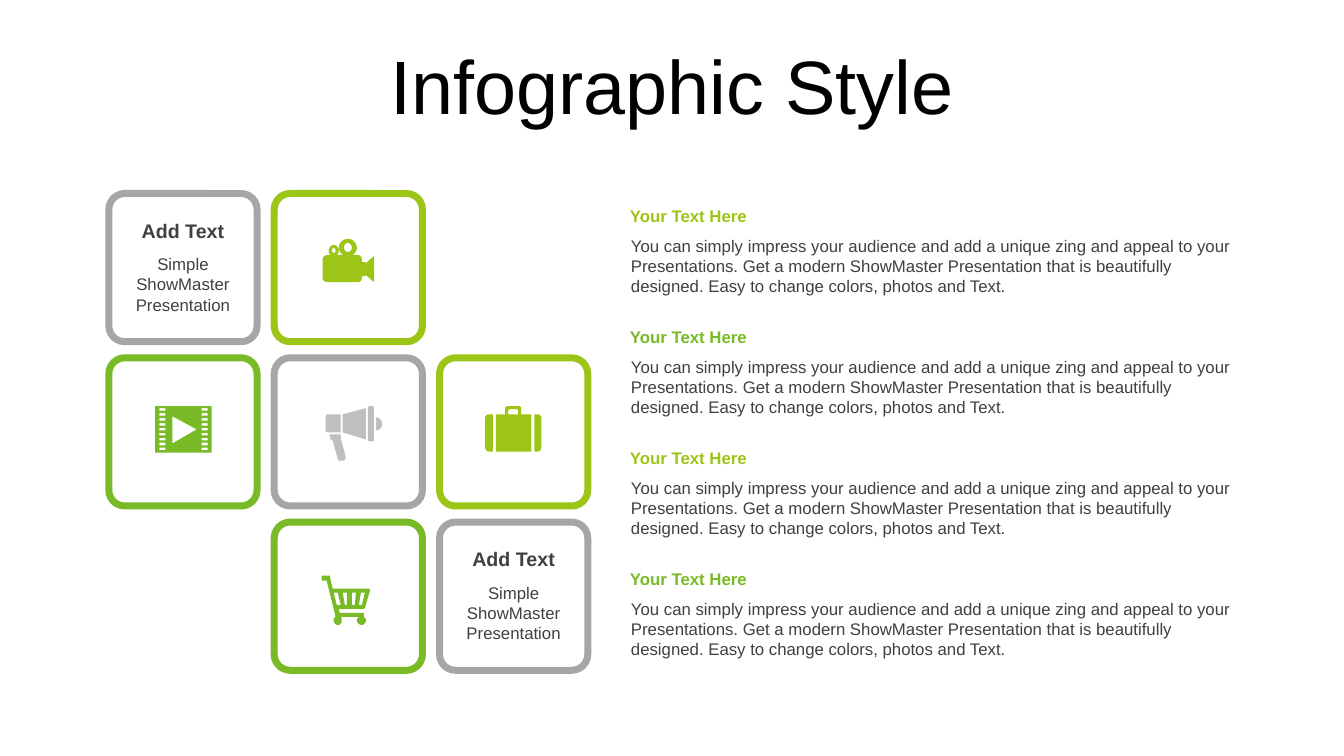
from dataclasses import dataclass

from pptx import Presentation
from pptx.dml.color import RGBColor
from pptx.enum.shapes import MSO_SHAPE as Shape
from pptx.enum.text import MSO_ANCHOR as Anchor, PP_ALIGN as Align
from pptx.util import Inches, Pt

WHITE = RGBColor(0xFF, 0xFF, 0xFF)
BLACK = RGBColor(0, 0, 0)
DARK = RGBColor(0x40, 0x40, 0x40)
GRAY = RGBColor(0xA6, 0xA6, 0xA6)
SILVER = RGBColor(0xBF, 0xBF, 0xBF)
LIME = RGBColor(0x9D, 0xC5, 0x18)
GREEN = RGBColor(0x79, 0xBA, 0x27)

WIDTH, HEIGHT = 13.33, 7.5
# Tile grid: first corner, step between tiles, tile side
LEFT, TOP = 1.08, 1.92
STEP_X, STEP_Y = 1.64, 1.63
SIDE = 1.47
# Text rows on the right
TEXT_X, TEXT_Y, TEXT_W, TEXT_STEP = 6.15, 1.99, 6.24, 1.2

HEAD = dict(size=Pt(54), color=BLACK)
LABEL = dict(size=Pt(14), color=DARK, bold=True)
BODY = dict(size=Pt(12), color=DARK)
NOTE = ("You can simply impress your audience and add a unique zing and appeal "
        "to your Presentations. Get a modern ShowMaster Presentation that is "
        "beautifully designed. Easy to change colors, photos and Text.")

# Icon outlines in hundredths of an inch; C starts a Bezier curve
CAMERA = (
    "11 9 C 10 9 9 10 9 12 C 9 13 10 14 11 14 C 12 14 13 13 13 12 C 13 10 12 9 11 9",
    "25 4 C 23 4 21 6 21 9 C 21 11 23 13 25 13 C 27 13 29 11 29 9 C 29 6 27 4 25 4",
    "25 0 C 30 0 34 4 34 9 C 34 12 32 15 29 16 35 16 C 37 16 39 18 39 21 39 23 42 23 "
    "43 24 51 17 51 43 43 36 42 37 39 37 39 39 C 39 41 37 43 35 43 5 43 "
    "C 2 43 0 41 0 39 0 21 C 0 18 2 16 5 16 9 16 C 7 16 6 14 6 12 C 6 9 8 6 11 6 "
    "C 14 6 16 9 16 12 C 16 14 15 16 13 16 21 16 C 18 15 16 12 16 9 C 16 4 20 0 25 0",
)
HOLES = tuple(
    f"{x} {y:.1f} {x + 6} {y:.1f} {x + 6} {y + 2.5:.1f} {x} {y + 2.5:.1f}"
    for x in (4, 46) for y in (2 + 4.9 * row for row in range(9)))
FILM = HOLES + ("17 10 17 37 41 23", "0 0 56 0 56 46 0 46")
HORN = (
    "15 28 15 30 C 16 31 15 32 15 32 20 50 C 20 52 19 53 18 54 15 54 "
    "C 14 55 13 54 12 52 7 34 C 6 34 6 34 5 33 4 28",
    "50 11 C 54 11 56 14 56 18 C 56 21 54 24 50 24",
    "2 8 15 8 15 26 2 26 C 1 26 0 25 0 24 0 11 C 0 9 1 8 2 8",
    "40 2 40 33 17 26 17 8",
    "43 0 47 0 48 1 48 33 C 48 34 48 35 47 35 43 35 C 43 35 42 34 42 33 42 1",
)
CASE = (
    "49 8 52 8 C 55 8 56 10 56 12 56 40 C 56 43 55 45 52 45 49 45",
    "4 8 8 8 8 45 4 45 C 2 45 0 43 0 40 0 12 C 0 10 2 8 4 8",
    "25 3 C 24 3 23 4 23 5 23 8 33 8 33 5 C 33 4 32 3 32 3",
    "23 0 34 0 C 35 0 36 1 36 2 36 8 46 8 46 45 11 45 11 8 20 8 20 2 C 20 1 21 0 23 0",
)
CART = (
    "39 17 37 29 40 29 43 17",
    "30 17 30 29 33 29 34 17",
    "21 17 23 29 25 29 25 17",
    "12 17 15 29 19 29 16 17",
    "8 0 11 13 46 13 C 47 13 49 14 48 15 43 32 42 33 17 33 18 37 42 37 42 41 41 41 "
    "C 43 41 44 43 44 44 C 44 47 42 49 40 49 C 37 49 35 47 35 44 C 35 43 36 41 38 41 "
    "19 41 C 20 42 20 43 20 44 C 20 47 19 49 16 49 C 14 49 12 47 12 44 "
    "C 12 43 13 41 14 41 5 5 0 5 0 0",
)


@dataclass(frozen=True)
class Icon:
    paths: tuple[str, ...]
    color: RGBColor
    dx: float
    dy: float


@dataclass(frozen=True)
class Tile:
    col: int
    row: int
    color: RGBColor
    icon: Icon | None = None


TILES = (
    Tile(0, 0, GRAY),
    Tile(1, 0, LIME, Icon(CAMERA, LIME, 0.48, 0.45)),
    Tile(0, 1, GREEN, Icon(FILM, GREEN, 0.46, 0.48)),
    Tile(1, 1, GRAY, Icon(HORN, SILVER, 0.51, 0.48)),
    Tile(2, 1, LIME, Icon(CASE, LIME, 0.45, 0.48)),
    Tile(1, 2, GREEN, Icon(CART, GREEN, 0.47, 0.53)),
    Tile(2, 2, GRAY),
)


def trace(path: str) -> list[tuple[int, int]]:
    """Turn an outline into points in EMU, with curves cut into short lines."""
    parts = iter(path.split())
    points: list[tuple[float, float]] = []
    for part in parts:
        if part != "C":
            points.append((float(part), float(next(parts))))
            continue
        a = points[-1]
        b, c, d = [(float(next(parts)), float(next(parts))) for _ in range(3)]
        for t in (0.2, 0.4, 0.6, 0.8, 1):
            s = 1 - t
            points.append(tuple(
                s**3 * a[i] + 3 * s * s * t * b[i] + 3 * s * t * t * c[i] + t**3 * d[i]
                for i in (0, 1)))
    return [(Inches(x / 100), Inches(y / 100)) for x, y in points]


def draw_icon(slide, icon: Icon, x: float, y: float) -> None:
    first, *rest = [trace(path) for path in icon.paths]
    pen = slide.shapes.build_freeform(*first[0])
    pen.add_line_segments(first[1:], close=True)
    for points in rest:
        pen.move_to(*points[0])
        pen.add_line_segments(points[1:], close=True)
    shape = pen.convert_to_shape(Inches(x + icon.dx), Inches(y + icon.dy))
    shape.shadow.inherit = False
    shape.fill.solid()
    shape.fill.fore_color.rgb = icon.color
    shape.line.fill.background()


def draw_text(slide, text: str, x: float, y: float, w: float, h: float,
              style: dict, align: Align = Align.LEFT, anchor: Anchor = Anchor.TOP):
    frame = slide.shapes.add_textbox(*map(Inches, (x, y, w, h))).text_frame
    frame.word_wrap = True
    frame.vertical_anchor = anchor
    line = frame.paragraphs[0]
    line.alignment = align
    run = line.add_run()
    run.text = text
    run.font.name = "Arial"
    for key, value in style.items():
        if key == "color":
            run.font.color.rgb = value
        else:
            setattr(run.font, key, value)
    return line


def draw_tile(slide, tile: Tile) -> None:
    x, y = LEFT + tile.col * STEP_X, TOP + tile.row * STEP_Y
    box = slide.shapes.add_shape(
        Shape.ROUNDED_RECTANGLE, *map(Inches, (x, y, SIDE, SIDE)))
    box.adjustments[0] = 0.107
    box.shadow.inherit = False
    box.fill.solid()
    box.fill.fore_color.rgb = WHITE
    box.line.color.rgb = tile.color
    box.line.width = Pt(5)
    if tile.icon:
        draw_icon(slide, tile.icon, x, y)
    else:
        draw_text(slide, "Add Text", x + 0.07, y + 0.2, 1.33, 0.34,
                  LABEL, Align.CENTER)
        draw_text(slide, "Simple ShowMaster Presentation", x + 0.07, y + 0.55,
                  1.33, 0.71, BODY, Align.CENTER)


def main() -> None:
    deck = Presentation()
    deck.slide_width, deck.slide_height = Inches(WIDTH), Inches(HEIGHT)
    slide = deck.slides.add_slide(deck.slide_layouts[6])
    title = draw_text(slide, "Infographic Style", 0, 0.5, WIDTH, 0.79, HEAD,
                      Align.CENTER, Anchor.MIDDLE)
    title.line_spacing = 0.9
    for tile in TILES:
        draw_tile(slide, tile)
    for row, color in enumerate((LIME, GREEN, LIME, GREEN)):
        y = TEXT_Y + row * TEXT_STEP
        draw_text(slide, "Your Text Here", TEXT_X, y, TEXT_W, 0.3,
                  BODY | dict(color=color, bold=True))
        draw_text(slide, NOTE, TEXT_X + 0.01, y + 0.3, TEXT_W - 0.01, 0.71, BODY)
    deck.save("out.pptx")


if __name__ == "__main__":
    main()
